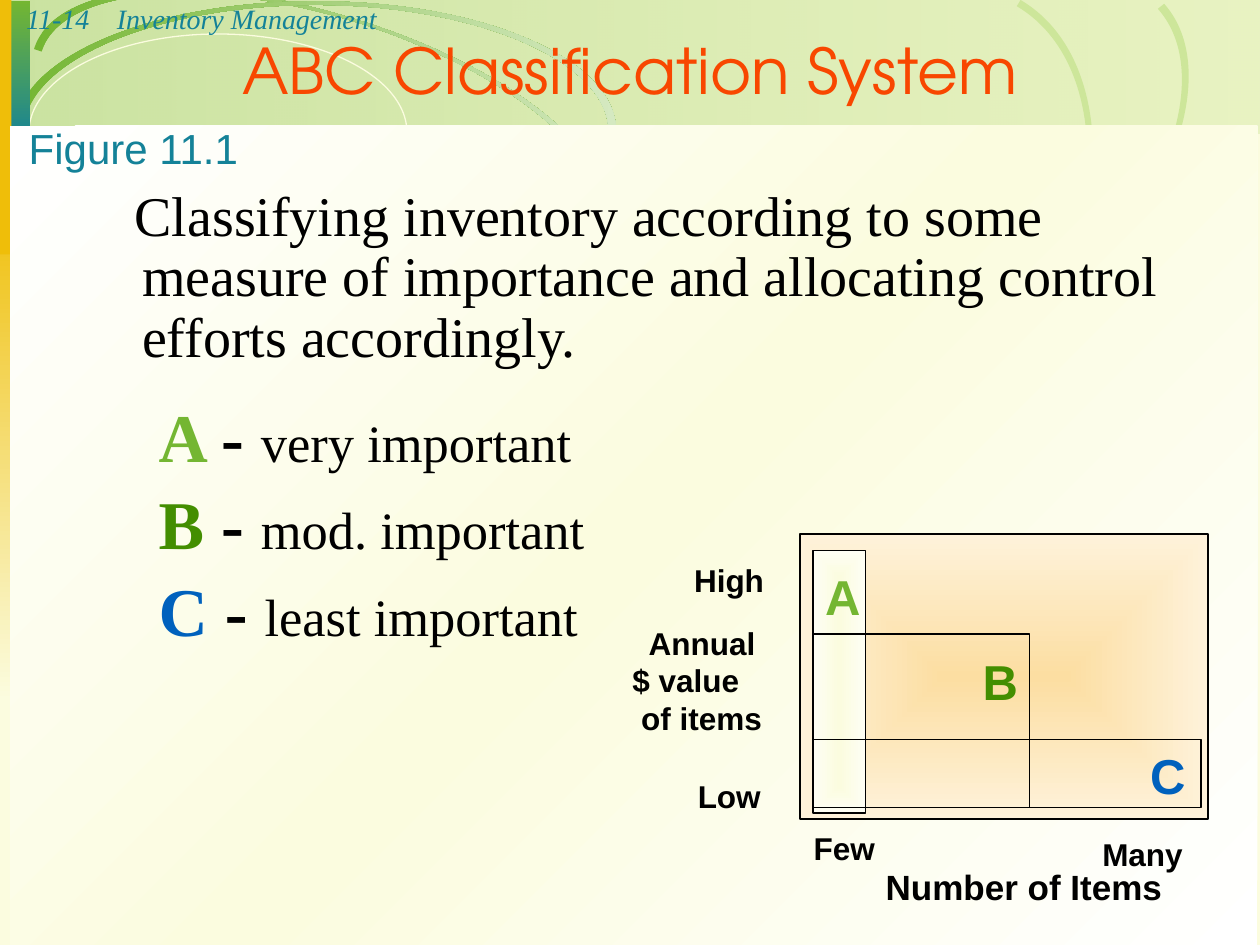
from lxml import etree
from pptx import Presentation
from pptx.dml.color import RGBColor
from pptx.enum.shapes import MSO_SHAPE
from pptx.enum.text import MSO_ANCHOR, PP_ALIGN
from pptx.oxml import parse_xml
from pptx.oxml.ns import nsdecls, qn
from pptx.util import Inches, Pt

COLORS = {
    "cream": "FBFCDF", "green": "74B632", "lime": "BCDD7B", "mist": "D5E9C1",
    "leaf": "CDE69A", "teal": "148298", "gold": "EFBE09", "white": "FFFFFF",
    "orange": "F84700", "black": "000000", "forest": "438E00", "blue": "0061BD",
    "peach": "FCDEA2", "pale": "FEF2DA", "ivory": "FEFEF4",
}
RGB = {name: RGBColor.from_string(value) for name, value in COLORS.items()}


def set_fill(sp, stops, angle):
    if len(stops) == 1:
        sp.fill.solid()
        sp.fill.fore_color.rgb = RGB[stops[0][0]]
        return
    sp.fill.background()
    if not stops:
        return
    gs = "".join(
        f'<a:gs pos="{i * 100000 // (len(stops) - 1)}"><a:srgbClr val="{COLORS[name]}">'
        f'<a:alpha val="{alpha * 1000}"/></a:srgbClr></a:gs>'
        for i, (name, alpha) in enumerate(stops))
    if angle == "rect":
        shade = '<a:path path="rect"><a:fillToRect l="50000" t="50000" r="50000" b="50000"/></a:path>'
    else:
        shade = f'<a:lin ang="{angle * 60000}" scaled="0"/>'
    no_fill = sp._element.spPr.find(qn("a:noFill"))
    no_fill.getparent().replace(no_fill, parse_xml(
        f'<a:gradFill rotWithShape="1" {nsdecls("a")}><a:gsLst>{gs}</a:gsLst>{shade}</a:gradFill>'))


def add_run(p, text, color, **fmt):
    r = p.add_run()
    r.text = text
    r.font.color.rgb = RGB[color]
    for name, value in fmt.items():
        setattr(r.font, name, value)


prs = Presentation()
prs.slide_width, prs.slide_height = Inches(10), Inches(7.5)
s = prs.slides.add_slide(prs.slide_layouts[5])
s.background.fill.solid()
s.background.fill.fore_color.rgb = RGB["cream"]

band = [("green", 36), ("lime", 29)]
green_fade = [("green", 100), ("mist", 100)]
leaf = [("leaf", 100)]
RECT, OVAL, ARC = MSO_SHAPE.RECTANGLE, MSO_SHAPE.OVAL, "arc"
edge = ("black", 1)
backdrop = [
    (RECT, (0.01, 0, 10, 1.06), band, 0, None),
    (ARC, [(0.33, 0.41), (0.49, -0.1), (1.61, -0.2), (2.84, 0.18), (4.06, 0.57), (4.92, 1.29), (4.76, 1.8),
           (4.82, 1.82), (4.99, 1.3), (4.1, 0.55), (2.84, 0.16), (1.59, -0.24), (0.43, -0.14), (0.27, 0.39)],
     green_fade, 0, None),
    (OVAL, (0.23, 0.27, 3, 1.56), [], 0, ("cream", 0.75)),
    (RECT, (0, 1.55, 0.22, 4.01), [("gold", 100), ("cream", 100)], 90, None),
    (ARC, [(5.73, 3.17), (6.19, 3.68), (7.34, 3.41), (8.3, 2.56), (9.25, 1.7), (9.65, 0.59), (9.19, 0.07),
           (9.24, 0.03), (9.71, 0.56), (9.3, 1.71), (8.32, 2.59), (7.34, 3.46), (6.16, 3.74), (5.68, 3.21)],
     leaf, 0, None),
    (ARC, [(5.7, 4.04), (6.41, 4.46), (7.51, 3.91), (8.17, 2.81), (8.82, 1.71), (8.78, 0.47), (8.07, 0.05),
           (8.1, 0), (8.83, 0.43), (8.87, 1.7), (8.2, 2.83), (7.53, 3.96), (6.39, 4.53), (5.67, 4.1)],
     leaf, 0, None),
    (ARC, [(0.19, 1.04), (0.19, 0.49), (1.23, 0.04), (2.51, 0.04), (3.79, 0.04), (4.83, 0.49), (4.83, 1.04),
           (4.89, 1.04), (4.89, 0.47), (3.83, 0.01), (2.51, 0.01), (1.19, 0.01), (0.12, 0.47), (0.12, 1.04)],
     green_fade, 0, None),
    (RECT, (0.01, 0.01, 0.23, 1.14), [("green", 100), ("teal", 100)], 90, None),
    (RECT, (0, 0, 0.09, 2.02), [("gold", 100)], 0, None),
    (RECT, (0.08, 1, 9.9, 6.5), [("white", 100), ("cream", 100), ("white", 100)], 45, None),
]
diagram = [
    (RECT, (6.35, 4.24, 3.24, 2.26), [("peach", 100), ("pale", 100)], "rect", edge),
    (RECT, (6.45, 4.37, 0.42, 2.08), [("cream", 100), ("ivory", 100)], "rect", edge),
    (RECT, (6.45, 5.87, 3.08, 0.54), [], 0, edge),
    (RECT, (6.45, 5.03, 1.72, 1.38), [], 0, edge),
]

for kind, place, stops, angle, line in backdrop + diagram:
    if kind == ARC:
        points = [(Inches(x), Inches(y)) for x, y in place]
        builder = s.shapes.build_freeform(*points[0])
        builder.add_line_segments(points[1:], close=True)
        sp = builder.convert_to_shape()
        lines = list(sp._element.iter(qn("a:lnTo")))
        for start in (0, 3, 7, 10):
            curve = etree.Element(qn("a:cubicBezTo"))
            lines[start].addprevious(curve)
            for segment in lines[start:start + 3]:
                curve.append(segment[0])
                segment.getparent().remove(segment)
    else:
        sp = s.shapes.add_shape(kind, *map(Inches, place))
    sp.shadow.inherit = False
    set_fill(sp, stops, angle)
    if line:
        sp.line.color.rgb = RGB[line[0]]
        sp.line.width = Pt(line[1])
    else:
        sp.line.fill.background()

title = s.shapes.title
title._element.getparent().append(title._element)
title.left, title.top, title.width, title.height = map(Inches, (0, 0.29, 10, 0.61))
tf = title.text_frame
tf.vertical_anchor = MSO_ANCHOR.BOTTOM
tf.paragraphs[0].alignment = PP_ALIGN.CENTER
add_run(tf.paragraphs[0], "ABC Classification System", "orange", size=Pt(36), name="TeX Gyre Adventor")

serif = {"name": "Times New Roman"}
sp = s.shapes.add_textbox(*map(Inches, (0.97, 1.44, 8.53, 3.95)))
tf = sp.text_frame
tf.word_wrap = True
p = tf.paragraphs[0]
p.line_spacing, p.space_after = 0.9, Pt(12)
p._p.get_or_add_pPr().set("marL", str(Inches(0.06)))
p._p.get_or_add_pPr().set("indent", str(-Inches(0.06)))
add_run(p, "Classifying inventory according to some measure of importance and "
           "allocating control efforts accordingly.", "black", size=Pt(32), **serif)
for grade, color, meaning in [("A", "green", "very important"),
                              ("B", "forest", "mod. important"),
                              ("C", "blue", "least important")]:
    p = tf.add_paragraph()
    p.level = 1
    p.line_spacing, p.space_before = 0.9, Pt(7.5)
    p._p.get_or_add_pPr().set("marL", str(Inches(0.19)))
    p._p.get_or_add_pPr().set("indent", "0")
    add_run(p, grade + " ", color, size=Pt(39), bold=True, **serif)
    add_run(p, "- ", "black", size=Pt(39), bold=True, **serif)
    add_run(p, meaning, "black", size=Pt(30), **serif)

header = {"size": Pt(16), "italic": True, **serif}
figure = {"size": Pt(24), "name": "Arial"}
label = {"size": Pt(18), "name": "Arial", "bold": True}
letter = {**label, "size": Pt(28)}
axis = {**label, "size": Pt(20)}
for place, lines, color, fmt in [
    ((0, -0.04, 1.23, 0.37), [("11-14", 0.11)], "teal", header),
    ((0.83, -0.04, 8.5, 0.37), [("Inventory Management", 0)], "teal", header),
    ((0.13, 0.92, 2.17, 0.5), [("Figure 11.1", 0)], "teal", figure),
    ((4.92, 4.9, 1.25, 1), [("Annual", 0.13), ("$ value", 0), ("of items", 0.07)], "black", label),
    ((6.45, 4.45, 0.55, 0.56), [("A", 0)], "green", letter),
    ((7.7, 5.12, 0.48, 0.56), [("B", 0)], "forest", letter),
    ((9.03, 5.87, 0.48, 0.56), [("C", 0)], "blue", letter),
    ((5.41, 4.4, 0.75, 0.4), [("High", 0)], "black", label),
    ((5.44, 6.12, 0.7, 0.4), [("Low", 0)], "black", label),
    ((6.36, 6.53, 0.72, 0.4), [("Few", 0)], "black", label),
    ((8.65, 6.58, 0.84, 0.4), [("Many", 0)], "black", label),
    ((6.93, 6.82, 2.39, 0.43), [("Number of Items", 0)], "black", axis),
]:
    sp = s.shapes.add_textbox(*map(Inches, place))
    tf = sp.text_frame
    tf.word_wrap = True
    tf.margin_right = 0
    for i, (text, indent) in enumerate(lines):
        p = tf.add_paragraph() if i else tf.paragraphs[0]
        p._p.get_or_add_pPr().set("marL", str(Inches(indent)))
        add_run(p, text, color, **fmt)

prs.save("out.pptx")
